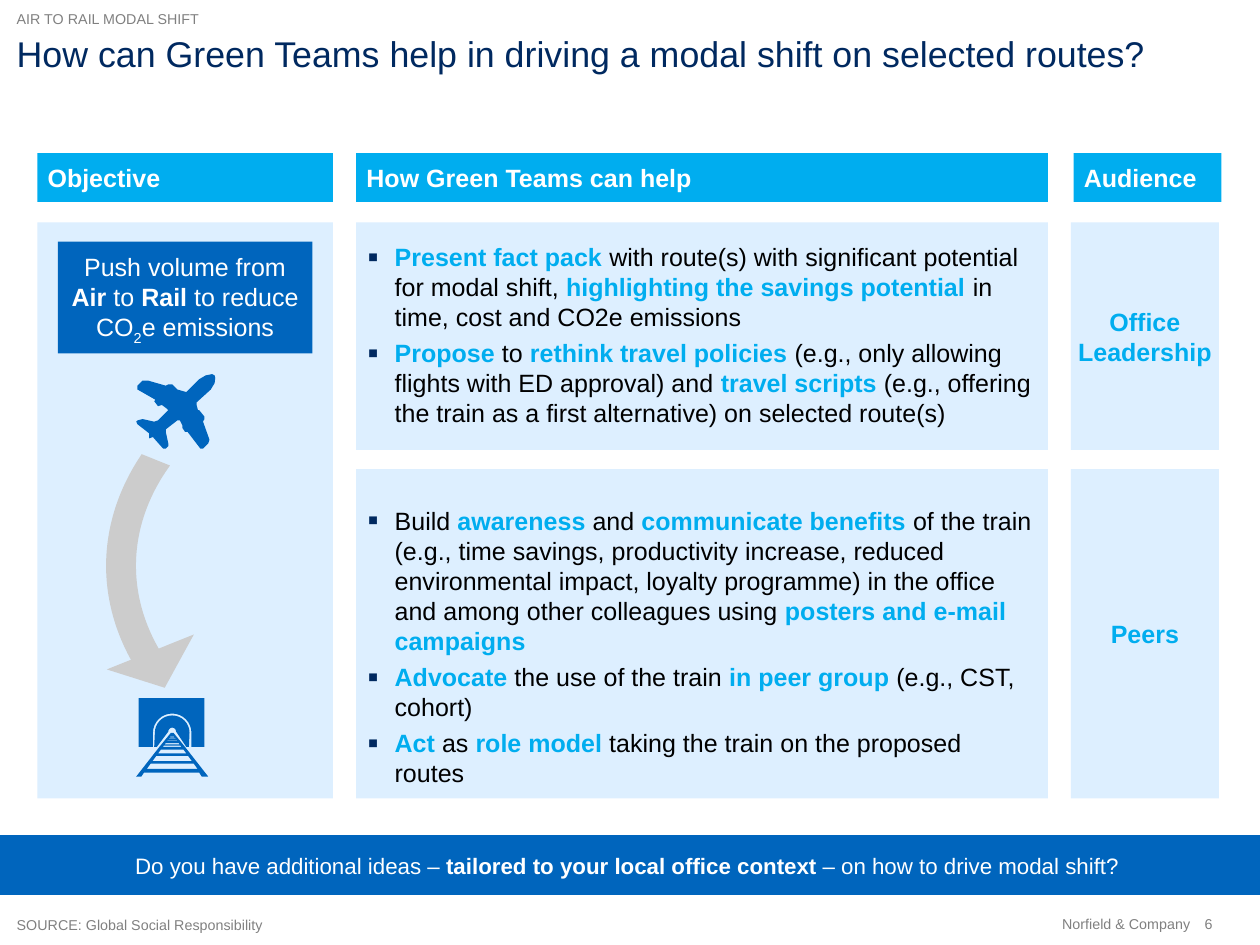
from math import cos, pi, sin

from lxml import etree
from pptx import Presentation
from pptx.dml.color import RGBColor
from pptx.enum.shapes import MSO_SHAPE as SHAPE
from pptx.enum.text import MSO_ANCHOR as ANCHOR, PP_ALIGN as ALIGN
from pptx.oxml.ns import qn
from pptx.util import Inches, Pt

W, H = 9.8, 7.35
MARGIN = 0.13
PAD = 0.08
COLORS = {
    "navy": "002960", "blue": "0065BD", "cyan": "00ADEF", "pale": "DDEFFF",
    "grey": "808080", "arrow": "CCCCCC", "white": "FFFFFF", "black": "000000",
}
# Grid: (start, length) of each column and row, in inches
COLS = {"objective": (0.29, 2.3), "help": (2.77, 5.38), "audience": (8.33, 1.15)}
ROWS = {"header": (1.19, 0.38), "leaders": (1.73, 1.77),
        "peers": (3.65, 2.56), "both": (1.73, 4.48)}

LEADER_IDEAS = [
    "*Present fact pack *with route(s) with significant potential for modal shift, "
    "*highlighting the savings potential *in time, cost and CO2e emissions",
    "*Propose* to *rethink travel policies *(e.g., only allowing flights with ED "
    "approval) and *travel scripts *(e.g., offering the train as a first "
    "alternative) on selected route(s)",
]
PEER_IDEAS = [
    "Build *awareness* and *communicate benefits *of the train (e.g., time savings, "
    "productivity increase, reduced environmental impact, loyalty programme) in the "
    "office and among other colleagues using *posters and e-mail campaigns*",
    "*Advocate* the use of the train *in peer group *(e.g., CST, cohort)",
    "*Act *as *role model *taking the train on the proposed routes",
]
PLANE = [
    (1.64, 3.03), (1.67, 2.98), (1.675, 2.94), (1.67, 2.92), (1.65, 2.91),
    (1.6, 2.92), (1.55, 2.95), (1.45, 3.05), (1.38, 3.03), (1.34, 2.99),
    (1.31, 2.99), (1.29, 3), (1.15, 2.96), (1.11, 2.96), (1.07, 3), (1.07, 3.03),
    (1.21, 3.11), (1.2, 3.12), (1.23, 3.16), (1.26, 3.15), (1.3, 3.18),
    (1.31, 3.19), (1.23, 3.27), (1.2, 3.28), (1.11, 3.26), (1.07, 3.27),
    (1.06, 3.28), (1.07, 3.3), (1.16, 3.37), (1.16, 3.41), (1.19, 3.4),
    (1.27, 3.49), (1.29, 3.49), (1.31, 3.47), (1.31, 3.45), (1.29, 3.36),
    (1.29, 3.34), (1.38, 3.27), (1.4, 3.27), (1.42, 3.31), (1.42, 3.33),
    (1.44, 3.36), (1.46, 3.36), (1.56, 3.49), (1.58, 3.49), (1.62, 3.45),
    (1.63, 3.42), (1.58, 3.28), (1.59, 3.26), (1.59, 3.24), (1.55, 3.19),
    (1.54, 3.19), (1.53, 3.15), (1.53, 3.13),
]


def rgb(name):
    return RGBColor.from_string(COLORS[name])


def box(*lengths):
    return [Inches(v) for v in lengths]


def cell(col, row):
    (x, w), (y, h) = COLS[col], ROWS[row]
    return x, y, w, h


def add_runs(p, text, size, color, strong):
    """Text between * marks is bold in the strong colour, between ~ subscript."""
    for i, part in enumerate(text.split("*")):
        for j, piece in enumerate(part.split("~")):
            if not piece:
                continue
            r = p.add_run()
            r.text = piece
            r.font.name, r.font.size = "Arial", Pt(size)
            r.font.bold = i % 2 == 1
            r.font.color.rgb = rgb(strong if i % 2 else color)
            if j % 2:
                r._r.get_or_add_rPr().set("baseline", "-25000")


def write(s, text, size, color, align=ALIGN.LEFT, anchor=ANCHOR.TOP, inset=(0, 0)):
    tf = s.text_frame
    tf.word_wrap = True
    tf.vertical_anchor = anchor
    tf.margin_left = tf.margin_right = Inches(inset[0])
    tf.margin_top = tf.margin_bottom = Inches(inset[1])
    p = tf.paragraphs[0]
    p.alignment = align
    add_runs(p, text, size, color, color)


def style(s, fill):
    s.shadow.inherit = False
    s.fill.solid()
    s.fill.fore_color.rgb = rgb(fill)
    s.line.fill.background()
    return s


def add_panel(slide, place, fill, kind=SHAPE.RECTANGLE):
    return style(slide.shapes.add_shape(kind, *box(*place)), fill)


def add_label(slide, place, text, size, color, **layout):
    write(slide.shapes.add_textbox(*box(*place)), text, size, color, **layout)


def add_bullets(slide, place, items):
    tf = slide.shapes.add_textbox(*box(*place)).text_frame
    tf.word_wrap = True
    tf.margin_left = tf.margin_right = tf.margin_top = tf.margin_bottom = 0
    for i, item in enumerate(items):
        p = tf.add_paragraph() if i else tf.paragraphs[0]
        pPr = p._p.get_or_add_pPr()
        pPr.set("marL", str(Inches(0.21)))
        pPr.set("indent", str(-Inches(0.21)))
        before = etree.SubElement(pPr, qn("a:spcBef"))
        etree.SubElement(before, qn("a:spcPct"), val="25000")
        tint = etree.SubElement(pPr, qn("a:buClr"))
        etree.SubElement(tint, qn("a:srgbClr"), val=COLORS["navy"])
        etree.SubElement(pPr, qn("a:buSzPct"), val="125000")
        etree.SubElement(pPr, qn("a:buFont"), typeface="Arial")
        etree.SubElement(pPr, qn("a:buChar"), char="▪")
        add_runs(p, item, 14, "black", "cyan")


def add_outline(slide, contours, fill):
    fb = slide.shapes.build_freeform(*box(*contours[0][0]), scale=1.0)
    for i, points in enumerate(contours):
        points = [box(*pt) for pt in points]
        if i:
            fb.move_to(*points[0])
        fb.add_line_segments(points[1:], close=True)
    style(fb.convert_to_shape(), fill)


def arch(cx, cy, radius, steps=16):
    """Half circle over the centre, from left to right."""
    return [(cx - radius * cos(pi * i / steps), cy - radius * sin(pi * i / steps))
            for i in range(steps + 1)]


def add_tunnel(slide):
    cx, cy, floor = 1.34, 5.7, 5.81
    wall = [(1.08, floor), (1.08, 5.43), (1.59, 5.43), (1.59, floor),
            (cx + 0.15, floor), *arch(cx, cy, 0.15)[::-1], (cx - 0.15, floor)]
    bore = [(1.22, floor), (1.2, floor), *arch(cx, cy, 0.135), (1.47, floor),
            (1.45, floor), *arch(cx, 5.69, 0.03)[::-1]]
    track = [(1.06, 6.04), (1.24, floor), (1.33, 5.7), (1.35, 5.7), (1.44, floor),
             (1.62, 6.04), (1.57, 6.04), (1.55, 6.01), (1.12, 6.01), (1.1, 6.04)]
    gaps = []
    for top, bottom in [(5.73, 5.735), (5.745, 5.75), (5.76, 5.765), (5.78, 5.79),
                        (5.8, 5.81), (5.83, 5.86), (5.88, 5.92), (5.94, 5.98)]:
        a, b = (0.73 * (y - 5.71) for y in (top, bottom))
        gaps.append([(cx - a, top), (cx + a, top), (cx + b, bottom), (cx - b, bottom)])
    add_outline(slide, [wall, bore, track, *gaps], "blue")


def add_curved_arrow(slide):
    head = add_panel(slide, (0.86, 5.06, 0.73, 0.3), "arrow", SHAPE.ISOSCELES_TRIANGLE)
    head.rotation = 158.1
    arc = add_panel(slide, (1.39, 1.96, 3.75, 4.88), "arrow", SHAPE.BLOCK_ARC)
    arc.rotation = 90
    arc.element.spPr.xfrm.set("flipV", "1")
    # Start angle, end angle, thickness
    for i, value in enumerate([148.88, 175.63, 0.062]):
        arc.adjustments[i] = value


def main():
    prs = Presentation()
    prs.slide_width, prs.slide_height = box(W, H)
    slide = prs.slides.add_slide(prs.slide_layouts[6])

    # Heading
    add_label(slide, (MARGIN, 0.08, 3, 0.13), "AIR TO RAIL MODAL SHIFT", 8, "grey")
    add_label(slide, (MARGIN, 0.25, 9.43, 0.34),
              "How can Green Teams help in driving a modal shift on selected routes?",
              20, "navy")

    # Column headers
    for col, title in [("objective", "Objective"), ("help", "How Green Teams can help"),
                       ("audience", "Audience")]:
        x, y, w, h = cell(col, "header")
        x += 0.02 if col == "audience" else 0
        write(add_panel(slide, (x, y, w, h), "cyan"), f"*{title}*", 14, "white",
              anchor=ANCHOR.MIDDLE, inset=(PAD, PAD))

    # Objective: from plane to train
    x, y, w, h = cell("objective", "both")
    add_panel(slide, (x, y, w, h), "pale")
    goal = add_panel(slide, (x + 2 * PAD, y + 0.15, w - 4 * PAD, 0.87), "blue")
    write(goal, "Push volume from *Air* to *Rail* to reduce CO~2~e emissions", 14,
          "white", align=ALIGN.CENTER, inset=(PAD, PAD))
    add_curved_arrow(slide)
    add_outline(slide, [PLANE], "blue")
    add_tunnel(slide)

    # Ideas and who they address
    for row, audience, ideas, drop, height in [
            ("leaders", "Office Leadership", LEADER_IDEAS, 0.15, 1.47),
            ("peers", "Peers", PEER_IDEAS, 0.28, 2)]:
        x, y, w, h = cell("help", row)
        add_panel(slide, (x, y, w, h), "pale")
        add_bullets(slide, (x + 0.09, y + drop, 5.21, height), ideas)
        write(add_panel(slide, cell("audience", row), "pale"), f"*{audience}*", 14,
              "cyan", align=ALIGN.CENTER, anchor=ANCHOR.MIDDLE)

    # Closing question
    banner = add_panel(slide, (0, 6.5, W, 0.46), "blue")
    banner.line.color.rgb, banner.line.width = rgb("blue"), Pt(0.75)
    write(banner, "Do you have additional ideas – *tailored to your local office "
          "context *– on how to drive modal shift? ", 12.5, "white",
          align=ALIGN.CENTER, anchor=ANCHOR.MIDDLE, inset=(0.11, 0))

    # Footer
    add_label(slide, (MARGIN, 7.12, 7.87, 0.14), "SOURCE: Global Social Responsibility",
              8, "grey", anchor=ANCHOR.BOTTOM)
    add_label(slide, (8.06, 7.12, 1.2, 0.13), "Norfield & Company", 8, "grey",
              align=ALIGN.RIGHT, anchor=ANCHOR.MIDDLE)
    add_label(slide, (9.37, 7.12, 0.14, 0.13), "6", 8, "grey", anchor=ANCHOR.MIDDLE)

    prs.save("out.pptx")


if __name__ == "__main__":
    main()
